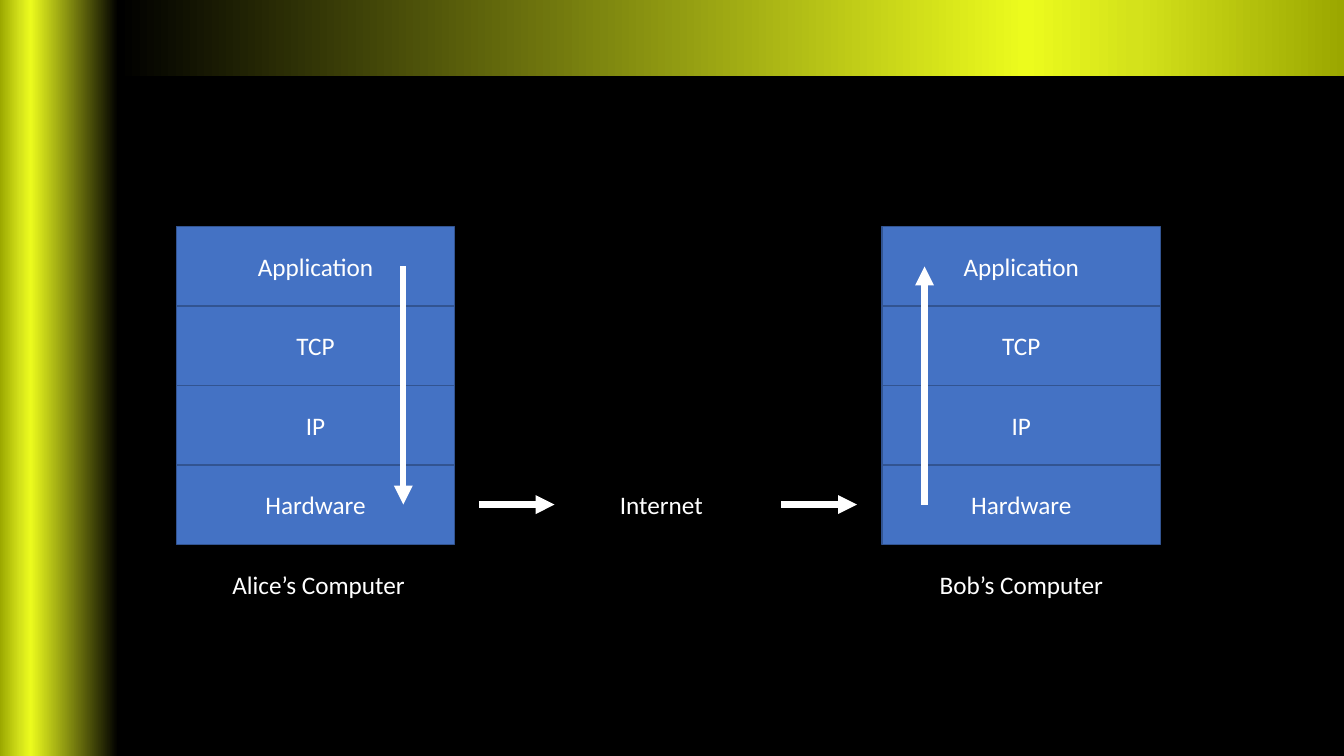
from lxml import etree
from pptx import Presentation
from pptx.dml.color import RGBColor
from pptx.enum.shapes import MSO_CONNECTOR as Connector, MSO_SHAPE as Shape
from pptx.enum.text import MSO_ANCHOR as Anchor, PP_ALIGN as Align
from pptx.oxml.ns import qn
from pptx.util import Inches, Pt

BLACK = RGBColor(0x00, 0x00, 0x00)
WHITE = RGBColor(0xFF, 0xFF, 0xFF)
LAYER_FILL = RGBColor(0x44, 0x72, 0xC4)
LAYER_LINE = RGBColor(0x32, 0x54, 0x91)
GLOW = [
    (0, BLACK),
    (74, RGBColor(0xEC, 0xFB, 0x1D)),
    (83, RGBColor(0xD4, 0xE2, 0x1B)),
    (100, RGBColor(0x9B, 0xA7, 0x00)),
]

LAYERS = ["Application", "TCP", "IP", "Hardware"]
STACK_TOP, STACK_WIDTH, STACK_HEIGHT = 2.25, 2.76, 3.15
LAYER_HEIGHT = STACK_HEIGHT / len(LAYERS)
STACK_BOTTOM = STACK_TOP + STACK_HEIGHT
HARDWARE_TOP = STACK_BOTTOM - LAYER_HEIGHT
APPLICATION_MIDDLE = STACK_TOP + LAYER_HEIGHT / 2
HARDWARE_MIDDLE = HARDWARE_TOP + LAYER_HEIGHT / 2
ALICE_LEFT, BOB_LEFT = 1.75, 8.75


class Diagram:
    """Holds the text style and the slide being drawn."""

    def __init__(self, slide, font="Calibri", size=18, arrow_width=4.5):
        self.slide = slide
        self.font = font
        self.size = size
        self.arrow_width = arrow_width

    def background(self, color):
        fill = self.slide.background.fill
        fill.solid()
        fill.fore_color.rgb = color

    def add_text(self, shape, text):
        frame = shape.text_frame
        frame.word_wrap = True
        frame.vertical_anchor = Anchor.MIDDLE
        paragraph = frame.paragraphs[0]
        paragraph.alignment = Align.CENTER
        run = paragraph.add_run()
        run.text = text
        run.font.name = self.font
        run.font.size = Pt(self.size)
        run.font.color.rgb = WHITE

    def glow_bar(self, left, top, width, height, angle):
        bar = self.slide.shapes.add_shape(
            Shape.RECTANGLE, Inches(left), Inches(top), Inches(width), Inches(height))
        bar.shadow.inherit = False
        bar.line.fill.background()
        bar.fill.gradient()
        bar.fill.gradient_angle = angle
        stops = next(bar.element.iter(qn("a:gsLst")))
        for stop in list(stops):
            stops.remove(stop)
        for position, color in GLOW:
            stop = etree.SubElement(stops, qn("a:gs"), pos=str(position * 1000))
            etree.SubElement(stop, qn("a:srgbClr"), val=str(color))

    def stack(self, left):
        group = self.slide.shapes.add_group_shape()
        for index, name in enumerate(LAYERS):
            layer = group.shapes.add_shape(
                Shape.RECTANGLE, Inches(left), Inches(STACK_TOP + index * LAYER_HEIGHT),
                Inches(STACK_WIDTH), Inches(LAYER_HEIGHT))
            layer.shadow.inherit = False
            layer.fill.solid()
            layer.fill.fore_color.rgb = LAYER_FILL
            layer.line.color.rgb = LAYER_LINE
            layer.line.width = Pt(1)
            self.add_text(layer, name)

    def label(self, text, left, top):
        box = self.slide.shapes.add_textbox(
            Inches(left), Inches(top), Inches(STACK_WIDTH), Inches(LAYER_HEIGHT))
        self.add_text(box, text)

    def arrow(self, start_x, start_y, end_x, end_y):
        arrow = self.slide.shapes.add_connector(
            Connector.STRAIGHT, Inches(start_x), Inches(start_y),
            Inches(end_x), Inches(end_y))
        arrow.line.color.rgb = WHITE
        arrow.line.width = Pt(self.arrow_width)
        properties = arrow.element.spPr
        etree.SubElement(properties.find(qn("a:ln")), qn("a:tailEnd"), type="triangle")
        etree.SubElement(properties, qn("a:effectLst"))


def main():
    presentation = Presentation()
    presentation.slide_width = Inches(13.33)
    presentation.slide_height = Inches(7.5)
    blank_layout = presentation.slide_layouts[6]
    diagram = Diagram(presentation.slides.add_slide(blank_layout))

    # Background and glowing border
    diagram.background(BLACK)
    diagram.glow_bar(0, 0, 1.17, 7.5, angle=180)
    diagram.glow_bar(1.17, 0, 12.16, 0.75, angle=0)

    # Protocol stacks and their captions
    diagram.stack(ALICE_LEFT)
    diagram.stack(BOB_LEFT)
    diagram.label("Alice’s Computer", 1.78, STACK_BOTTOM)
    diagram.label("Bob’s Computer", BOB_LEFT, STACK_BOTTOM)

    # Path of the data: down, across the network, up
    diagram.arrow(4, APPLICATION_MIDDLE, 4, HARDWARE_MIDDLE)
    diagram.arrow(9.17, HARDWARE_MIDDLE, 9.17, APPLICATION_MIDDLE)
    for start in (4.75, 7.75):
        diagram.arrow(start, HARDWARE_MIDDLE, start + 0.75, HARDWARE_MIDDLE)
    diagram.label("Internet", 5.18, HARDWARE_TOP)

    presentation.save("out.pptx")


if __name__ == "__main__":
    main()
